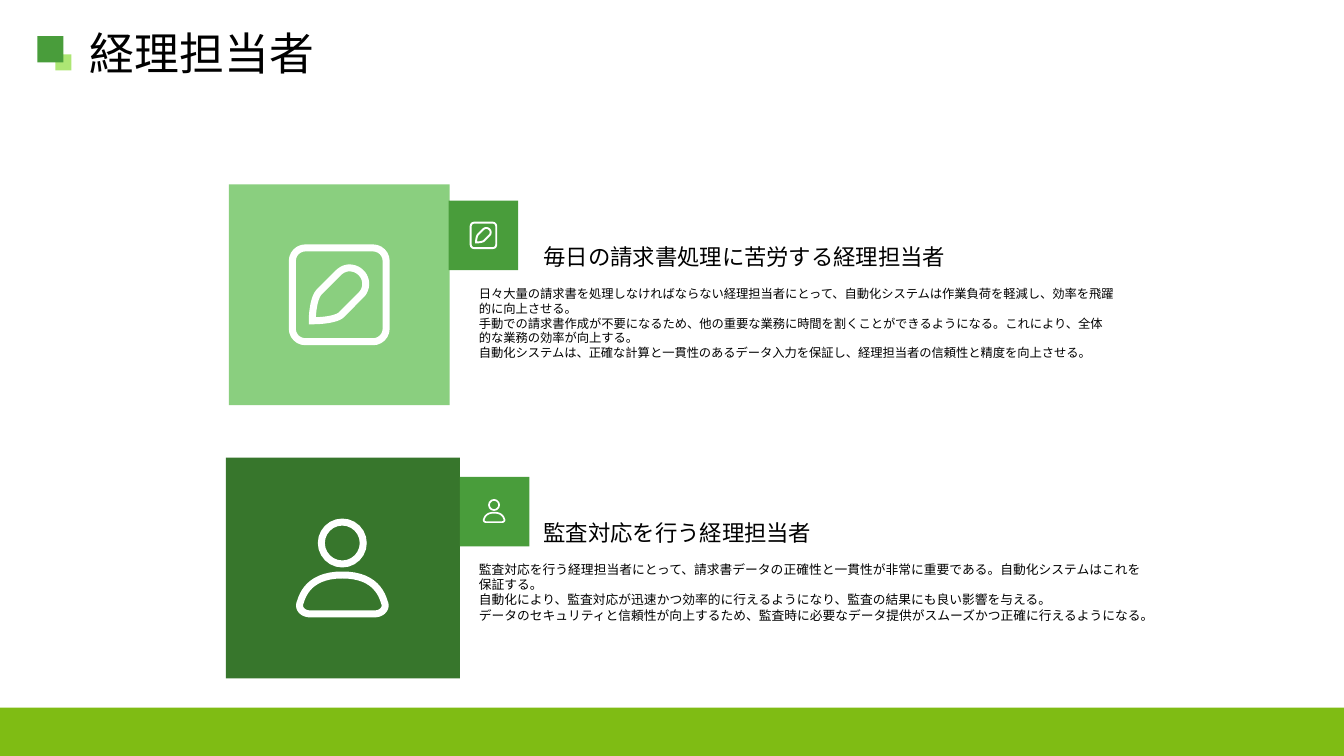
from lxml import etree
from pptx import Presentation
from pptx.dml.color import RGBColor
from pptx.enum.shapes import MSO_SHAPE
from pptx.enum.text import MSO_ANCHOR
from pptx.oxml.ns import qn
from pptx.util import Inches, Pt

RECTANGLE = MSO_SHAPE.RECTANGLE
ROUNDED = MSO_SHAPE.ROUNDED_RECTANGLE
OVAL = MSO_SHAPE.OVAL
TOP, MIDDLE, BOTTOM = MSO_ANCHOR.TOP, MSO_ANCHOR.MIDDLE, MSO_ANCHOR.BOTTOM

FONT = "TeX Gyre Schola"
COLORS = {
    "footer": "7FBC14", "dark": "37762C", "light": "8ACF7F",
    "green": "499D3B", "lime": "ADE674", "white": "FFFFFF", "text": "000000",
}

# Icon outlines in units of the icon height: two numbers draw a line, six a curve.
PENCIL = [
    (0.23, 0.76), (0.23, 0.66, 0.25, 0.52, 0.3, 0.47), (0.49, 0.28),
    (0.52, 0.25, 0.56, 0.23, 0.6, 0.23), (0.65, 0.23, 0.69, 0.25, 0.72, 0.28),
    (0.78, 0.34, 0.78, 0.44, 0.72, 0.5), (0.52, 0.7),
    (0.48, 0.74, 0.35, 0.76, 0.23, 0.76),
]
SHOULDERS = [
    (0.46, 0.57), (0.73, 0.57, 0.84, 0.7, 0.88, 0.84),
    (0.91, 0.9, 0.86, 0.96, 0.78, 0.96), (0.14, 0.96),
    (0.06, 0.96, 0.01, 0.9, 0.04, 0.84), (0.08, 0.7, 0.19, 0.57, 0.46, 0.57),
]

PERSONAS = [
    {
        "tile": (2.27, 1.83, 2.19, 2.19), "color": "light", "icon": "pencil",
        "icon_at": (2.87, 2.43, 0.99), "badge": (4.45, 1.99),
        "badge_icon_at": (4.66, 2.2, 0.27), "width": 5.68,
        "body": (4.75, 2.84, 6.31, 1.01), "size": 8.8,
        "heading": "毎日の請求書処理に苦労する経理担当者",
        "lines": [
            "日々大量の請求書を処理しなければならない経理担当者にとって、自動化システムは作業負荷を軽減し、効率を飛躍的に向上させる。",
            "手動での請求書作成が不要になるため、他の重要な業務に時間を割くことができるようになる。これにより、全体的な業務の効率が向上する。",
            "自動化システムは、正確な計算と一貫性のあるデータ入力を保証し、経理担当者の信頼性と精度を向上させる。",
        ],
    },
    {
        "tile": (2.24, 4.54, 2.32, 2.19), "color": "dark", "icon": "person",
        "icon_at": (2.94, 5.14, 0.99), "badge": (4.56, 4.73),
        "badge_icon_at": (4.79, 4.95, 0.24), "width": 5.99,
        "body": (4.75, 5.57, 6.58, 1.11), "size": 9.1,
        "heading": "監査対応を行う経理担当者",
        "lines": [
            "監査対応を行う経理担当者にとって、請求書データの正確性と一貫性が非常に重要である。自動化システムはこれを保証する。",
            "自動化により、監査対応が迅速かつ効率的に行えるようになり、監査の結果にも良い影響を与える。",
            "データのセキュリティと信頼性が向上するため、監査時に必要なデータ提供がスムーズかつ正確に行えるようになる。",
        ],
    },
]


def rgb(name):
    return RGBColor.from_string(COLORS[name])


def add_block(slide, box, color):
    shape = slide.shapes.add_shape(RECTANGLE, *map(Inches, box))
    shape.shadow.inherit = False
    shape.fill.solid()
    shape.fill.fore_color.rgb = rgb(color)
    shape.line.fill.background()


def add_text(slide, box, lines, size, anchor=TOP):
    frame = slide.shapes.add_textbox(*map(Inches, box)).text_frame
    frame.word_wrap = True
    frame.vertical_anchor = anchor
    frame.margin_left = frame.margin_right = 0
    frame.margin_top = frame.margin_bottom = 0
    for index, line in enumerate(lines):
        paragraph = frame.add_paragraph() if index else frame.paragraphs[0]
        run = paragraph.add_run()
        run.text = line
        run.font.size = Pt(size)
        run.font.name = FONT
        run.font.color.rgb = rgb("text")
        east_asian = etree.SubElement(run.font._element, qn("a:ea"))
        east_asian.set("typeface", FONT)


def style_stroke(shape, height):
    """Outline an icon part in white, with a stroke in proportion to the icon."""
    shape.shadow.inherit = False
    shape.fill.background()
    shape.line.color.rgb = rgb("white")
    shape.line.width = Inches(height * 0.07)
    miter = etree.SubElement(shape.line._ln, qn("a:miter"))
    miter.set("lim", "800000")


def trace(outline, steps=12):
    """Turn an outline of lines and cubic curves into points."""
    points = [outline[0]]
    for segment in outline[1:]:
        if len(segment) == 2:
            points.append(segment)
            continue
        corners = [points[-1], segment[:2], segment[2:4], segment[4:]]
        for step in range(1, steps + 1):
            t = step / steps
            weights = ((1 - t) ** 3, 3 * t * (1 - t) ** 2, 3 * t * t * (1 - t), t ** 3)
            points.append(tuple(
                sum(weight * corner[axis] for weight, corner in zip(weights, corners))
                for axis in (0, 1)))
    return points


def add_icon(slide, kind, left, top, height):
    def place(x, y):
        return Inches(left + x * height), Inches(top + y * height)

    if kind == "pencil":
        preset, x, y, side, outline = ROUNDED, 0.03, 0.03, 0.94, PENCIL
    else:
        preset, x, y, side, outline = OVAL, 0.25, 0.04, 0.42, SHOULDERS
    length = Inches(side * height)
    part = slide.shapes.add_shape(preset, *place(x, y), length, length)
    if preset == ROUNDED:
        part.adjustments[0] = 0.14
    style_stroke(part, height)

    points = [place(*point) for point in trace(outline)]
    builder = slide.shapes.build_freeform(*points[0])
    builder.add_line_segments(points[1:-1], close=True)
    style_stroke(builder.convert_to_shape(), height)


def add_header(slide, left, top):
    add_block(slide, (left + 0.18, top + 0.18, 0.16, 0.16), "lime")
    add_block(slide, (left, top, 0.26, 0.26), "green")
    add_text(slide, (left + 0.52, top - 0.07, 11.84, 0.47), ["経理担当者"], 32, MIDDLE)


def add_persona(slide, persona):
    side = 0.69
    left, top = persona["badge"]
    add_block(slide, persona["tile"], persona["color"])
    add_block(slide, (left, top, side, side), "green")
    for place in (persona["icon_at"], persona["badge_icon_at"]):
        add_icon(slide, persona["icon"], *place)
    add_text(slide, (5.39, top, persona["width"], side), [persona["heading"]], 16, BOTTOM)
    add_text(slide, persona["body"], persona["lines"], persona["size"])


def main():
    presentation = Presentation()
    presentation.slide_width = Inches(13.33)
    presentation.slide_height = Inches(7.5)
    slide = presentation.slides.add_slide(presentation.slide_layouts[6])
    add_block(slide, (0, 7.02, 13.33, 0.48), "footer")
    add_header(slide, 0.37, 0.36)
    for persona in PERSONAS:
        add_persona(slide, persona)
    presentation.save("out.pptx")


if __name__ == "__main__":
    main()
